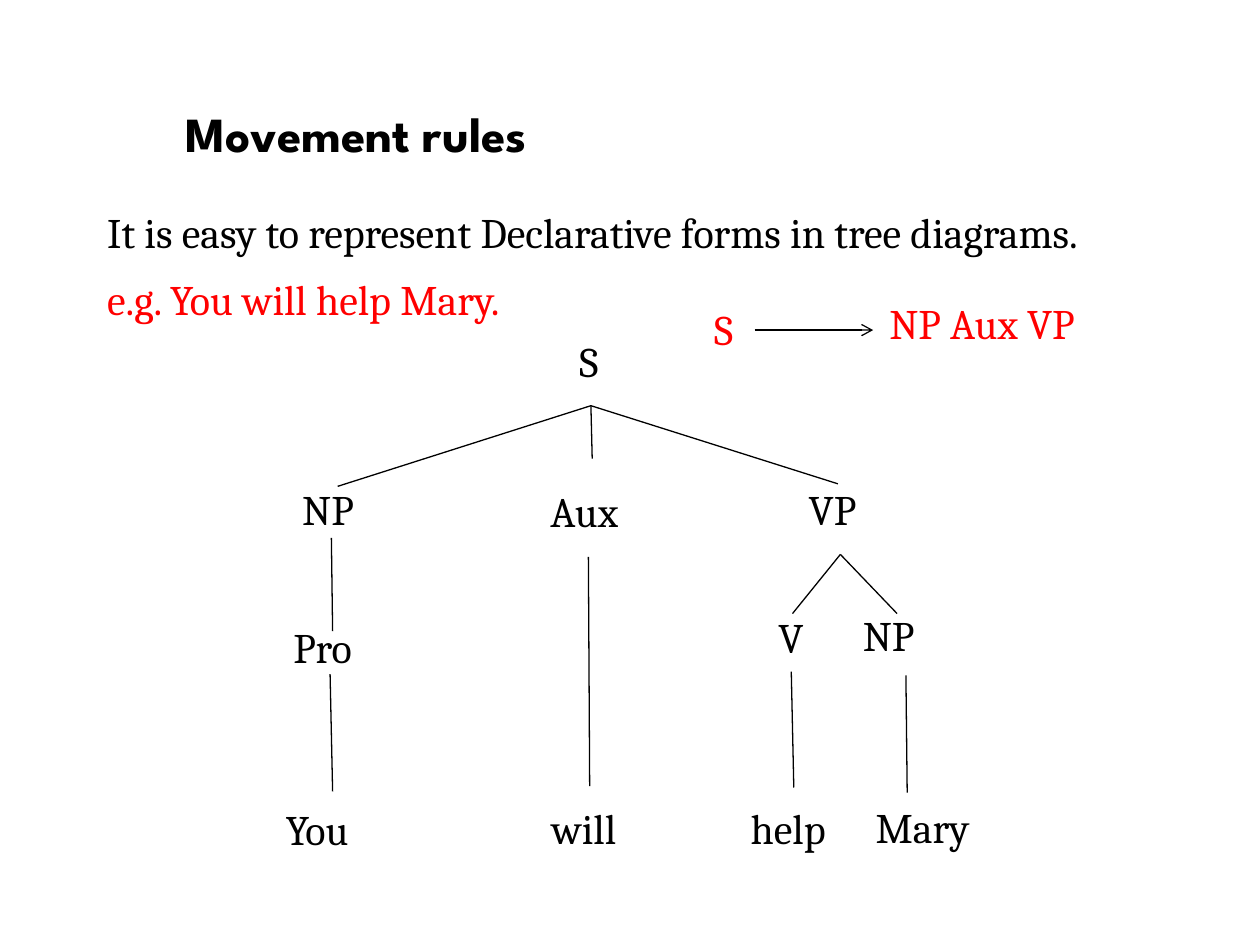
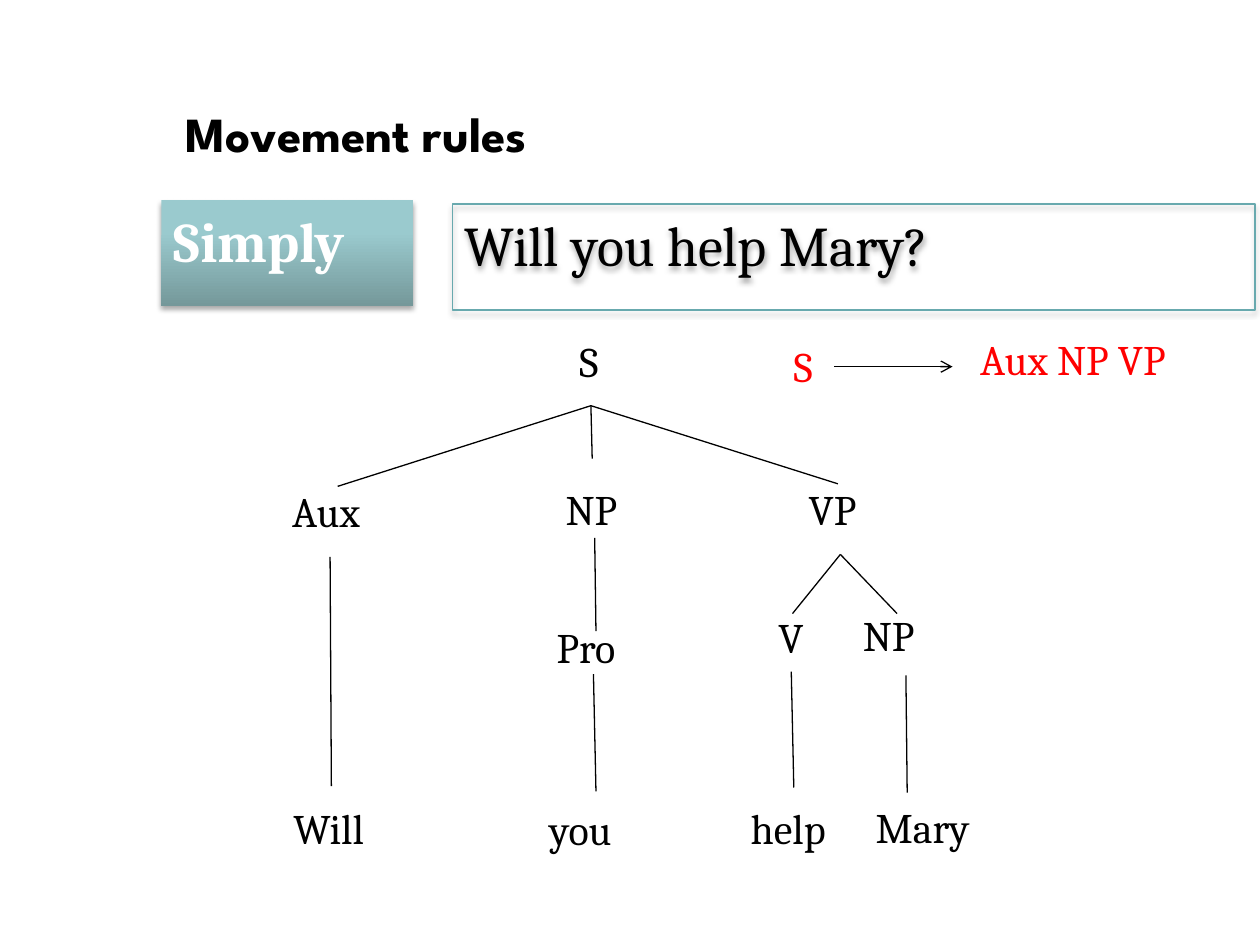
"""Build two slides of syntax trees for a declarative and its question."""
from dataclasses import dataclass

from lxml.etree import SubElement
from pptx import Presentation
from pptx.dml.color import RGBColor
from pptx.enum.shapes import MSO_CONNECTOR, MSO_SHAPE
from pptx.enum.text import MSO_ANCHOR, MSO_AUTO_SIZE, PP_ALIGN
from pptx.oxml.ns import qn
from pptx.util import Inches, Pt


@dataclass(frozen=True)
class Theme:
    black: RGBColor = RGBColor(0, 0, 0)
    white: RGBColor = RGBColor(255, 255, 255)
    red: RGBColor = RGBColor(255, 0, 0)
    teal: RGBColor = RGBColor(0x68, 0xA9, 0xAE)
    teal_light: RGBColor = RGBColor(0x9A, 0xCA, 0xCE)
    teal_dark: RGBColor = RGBColor(0x75, 0x98, 0x9A)
    title_font: str = "League Spartan"
    text_font: str = "Cambria"
    title_size: int = 28
    banner_size: int = 32
    text_size: int = 24
    line_width: float = 0.75


THEME = Theme()


@dataclass(frozen=True)
class Node:
    text: str
    left: float
    top: float
    width: float
    height: float = 0.61
    color: RGBColor = THEME.black


@dataclass(frozen=True)
class Edge:
    x1: float
    y1: float
    x2: float
    y2: float
    arrow: bool = False


@dataclass(frozen=True)
class Branch:
    nodes: tuple[Node, ...]
    edges: tuple[Edge, ...]


SENTENCE = Branch(
    (Node("S", 4.5, 2.61, 0.38),),
    (Edge(4.69, 3.22, 2.68, 3.86), Edge(4.69, 3.22, 6.65, 3.84), Edge(4.69, 3.22, 4.7, 3.64)),
)
VERB_PHRASE = Branch(
    (
        Node("VP", 6.32, 3.79, 0.71),
        Node("V", 6.08, 4.8, 0.5),
        Node("NP", 6.75, 4.79, 0.86),
        Node("help", 5.86, 6.32, 0.87),
        Node("Mary", 6.85, 6.31, 1.18),
    ),
    (
        Edge(6.67, 4.4, 6.29, 4.87),
        Edge(6.67, 4.4, 7.12, 4.87),
        Edge(6.28, 5.33, 6.3, 6.25),
        Edge(7.19, 5.36, 7.2, 6.29),
    ),
)


def subject(word: str) -> Branch:
    """Return the pronoun branch in the left column."""
    return Branch(
        (Node("NP", 2.3, 3.79, 0.71), Node("Pro", 2.23, 4.88, 0.76), Node(word, 2.17, 6.33, 0.86)),
        (Edge(2.63, 4.27, 2.64, 5.01), Edge(2.62, 5.35, 2.64, 6.28)),
    )


def auxiliary(word: str) -> Branch:
    """Return the auxiliary branch in the left column."""
    return Branch(
        (Node("Aux", 2.22, 3.8, 0.83), Node(word, 2.23, 6.32, 0.86)),
        (Edge(2.62, 4.42, 2.63, 6.24),),
    )


def rule(expansion: str, expansion_left: float) -> Branch:
    """Return the rewrite rule shown beside the tree."""
    return Branch(
        (
            Node("S", 5.57, 2.36, 0.41, 0.59, THEME.red),
            Node(expansion, expansion_left, 2.31, 2.18, 0.59, THEME.red),
        ),
        (Edge(5.99, 2.62, 6.93, 2.62, arrow=True),),
    )


def place(shape, left: float, top: float, width: float, height: float) -> None:
    """Move and size a shape in inches."""
    shape.left, shape.top = Inches(left), Inches(top)
    shape.width, shape.height = Inches(width), Inches(height)


def style_font(paragraph, name: str, size: int, color: RGBColor, bold: bool = False) -> None:
    """Set the font of a whole paragraph."""
    font = paragraph.font
    font.name, font.size, font.bold = name, Pt(size), bold
    font.color.rgb = color


def write(frame, lines: list[tuple[str, RGBColor]], size: int, bold: bool = False) -> None:
    """Write unbulleted lines with proportional spacing."""
    frame.word_wrap = True
    frame.auto_size = MSO_AUTO_SIZE.NONE
    frame.vertical_anchor = MSO_ANCHOR.TOP
    for index, (text, color) in enumerate(lines):
        paragraph = frame.add_paragraph() if index else frame.paragraphs[0]
        paragraph.text = text
        paragraph.alignment = PP_ALIGN.LEFT
        properties = paragraph._p.get_or_add_pPr()
        for side in ("a:spcBef", "a:spcAft"):
            SubElement(SubElement(properties, qn(side)), qn("a:spcPct"), val="20000")
        SubElement(properties, qn("a:buNone"))
        style_font(paragraph, THEME.text_font, size, color, bold)


def draw_node(slide, node: Node, dx: float, dy: float) -> None:
    """Draw a label of the tree."""
    box = slide.shapes.add_textbox(
        Inches(node.left + dx), Inches(node.top + dy), Inches(node.width), Inches(node.height)
    )
    write(box.text_frame, [(node.text, node.color)], THEME.text_size)


def draw_edge(slide, edge: Edge, dx: float, dy: float) -> None:
    """Draw a thin line, with an arrowhead if asked."""
    connector = slide.shapes.add_connector(
        MSO_CONNECTOR.STRAIGHT,
        Inches(edge.x1 + dx), Inches(edge.y1 + dy), Inches(edge.x2 + dx), Inches(edge.y2 + dy),
    )
    connector.line.color.rgb = THEME.black
    connector.line.width = Pt(THEME.line_width)
    properties = connector._element.spPr
    if edge.arrow:
        SubElement(properties.find(qn("a:ln")), qn("a:tailEnd"), type="arrow")
    SubElement(properties, qn("a:effectLst"))


def draw_branch(slide, branch: Branch, dx: float = 0, dy: float = 0) -> None:
    """Draw the edges and labels of a branch, shifted."""
    for edge in branch.edges:
        draw_edge(slide, edge, dx, dy)
    for node in branch.nodes:
        draw_node(slide, node, dx, dy)


def cast_shadow(shape) -> None:
    """Give a shape a soft shadow below it."""
    shape.shadow.inherit = False
    effects = shape._element.spPr.find(qn("a:effectLst"))
    shadow = SubElement(
        effects, qn("a:outerShdw"),
        blurRad=str(Pt(3.1)), dist=str(Pt(1.8)), dir="5400000", rotWithShape="0",
    )
    black = SubElement(shadow, qn("a:srgbClr"), val=str(THEME.black))
    SubElement(black, qn("a:alpha"), val="35000")


def add_titled_slide(deck):
    """Add a slide with the shared title."""
    slide = deck.slides.add_slide(deck.slide_layouts[1])
    title = slide.shapes.title
    place(title, 1.37, 0.24, 7.48, 1.1)
    frame = title.text_frame
    frame.text = "Movement rules"
    frame.vertical_anchor = MSO_ANCHOR.BOTTOM
    frame.auto_size = MSO_AUTO_SIZE.NONE
    heading = frame.paragraphs[0]
    heading.alignment = PP_ALIGN.LEFT
    style_font(heading, THEME.title_font, THEME.title_size, THEME.black, bold=True)
    return slide


def add_declarative(deck) -> None:
    """Add the slide of the declarative form."""
    slide = add_titled_slide(deck)
    body = slide.placeholders[1]
    place(body, 0.75, 1.59, 9.25, 1.1)
    write(
        body.text_frame,
        [
            ("It is easy to represent Declarative forms in tree diagrams.", THEME.black),
            ("e.g. You will help Mary.", THEME.red),
        ],
        THEME.text_size,
    )
    draw_branch(slide, SENTENCE)
    draw_branch(slide, subject("You"))
    draw_branch(slide, auxiliary("will"), dx=2.05)
    draw_branch(slide, VERB_PHRASE)
    draw_branch(slide, rule("NP Aux VP", 6.96))


def add_question(deck) -> None:
    """Add the slide of the question form."""
    slide = add_titled_slide(deck)
    simply = slide.placeholders[1]
    place(simply, 1.28, 1.59, 2, 0.84)
    simply.fill.gradient()
    simply.fill.gradient_angle = 270
    shades = ((0.3, THEME.teal_light), (1, THEME.teal_dark))
    for stop, (position, color) in zip(simply.fill.gradient_stops, shades):
        stop.position = position
        stop.color.rgb = color
    cast_shadow(simply)
    write(simply.text_frame, [("Simply", THEME.white)], THEME.banner_size, bold=True)

    question = slide.shapes.add_shape(
        MSO_SHAPE.RECTANGLE, Inches(3.59), Inches(1.62), Inches(6.37), Inches(0.84)
    )
    question.fill.background()
    question.line.color.rgb = THEME.teal
    question.line.width = Pt(THEME.line_width)
    cast_shadow(question)
    write(question.text_frame, [("Will you help Mary?", THEME.black)], THEME.banner_size)

    draw_branch(slide, SENTENCE)
    draw_branch(slide, auxiliary("Will"))
    draw_branch(slide, subject("you"), dx=2.09)
    draw_branch(slide, VERB_PHRASE)
    draw_branch(slide, rule("Aux NP VP", 7.05), dx=0.63, dy=0.29)


def main() -> None:
    """Build and save the deck."""
    deck = Presentation()
    deck.slide_width, deck.slide_height = Inches(10), Inches(7.5)
    add_declarative(deck)
    add_question(deck)
    deck.save("out.pptx")


if __name__ == "__main__":
    main()
